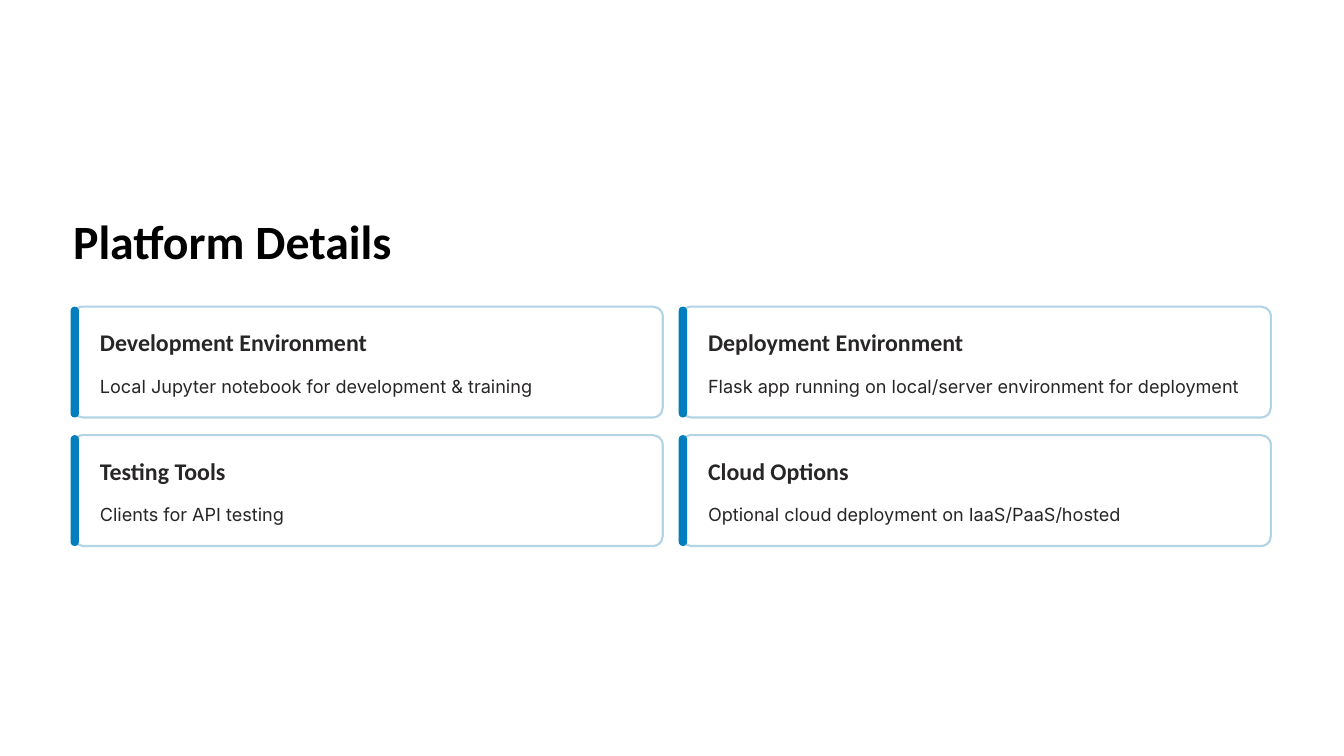
from pptx import Presentation
from pptx.dml.color import RGBColor
from pptx.enum.shapes import MSO_SHAPE
from pptx.enum.text import MSO_ANCHOR, MSO_AUTO_SIZE, PP_ALIGN
from pptx.util import Inches, Pt

ROUNDED = MSO_SHAPE.ROUNDED_RECTANGLE
TOP = MSO_ANCHOR.TOP
NO_FIT = MSO_AUTO_SIZE.NONE
LEFT = PP_ALIGN.LEFT

COLORS = {"white": "FFFFFF", "title": "000000", "text": "272525",
          "border": "B2D4E5", "accent": "007EBD"}
HEADING_FONT = "Calibri"
BODY_FONT = "Inter"

CARD_LEFT, CARD_TOP = 0.87, 3.65
CARD_WIDTH, CARD_HEIGHT = 7.02, 1.32
COLUMN_STEP, ROW_STEP = 7.24, 1.53
COLUMNS = 2

CARDS = [
    ("Development Environment", "Local Jupyter notebook for development & training"),
    ("Deployment Environment", "Flask app running on local/server environment for deployment"),
    ("Testing Tools", "Clients for API testing"),
    ("Cloud Options", "Optional cloud deployment on IaaS/PaaS/hosted"),
]


class SlideBuilder:
    """Draws styled titles, text and cards on one slide."""

    def __init__(self, slide):
        self.slide = slide
        background = slide.background.fill
        background.solid()
        background.fore_color.rgb = self.color("white")

    def color(self, name):
        return RGBColor.from_string(COLORS[name])

    def fill_text(self, shape, text, font, size, spacing, color, bold=False):
        frame = shape.text_frame
        frame.margin_left = frame.margin_right = 0
        frame.margin_top = frame.margin_bottom = 0
        frame.word_wrap = True
        frame.auto_size = NO_FIT
        frame.vertical_anchor = TOP
        paragraph = frame.paragraphs[0]
        paragraph.alignment = LEFT
        paragraph.line_spacing = Pt(spacing)
        run = paragraph.add_run()
        run.text = text
        run.font.name = font
        run.font.size = Pt(size)
        run.font.bold = bold
        run.font.color.rgb = self.color(color)

    def title(self, text, left, top, width, height):
        shape = self.slide.shapes.title
        shape.left, shape.top = Inches(left), Inches(top)
        shape.width, shape.height = Inches(width), Inches(height)
        self.fill_text(shape, text, HEADING_FONT, 41, 51, "title", True)

    def text(self, text, left, top, width, height, *style):
        shape = self.slide.shapes.add_textbox(
            Inches(left), Inches(top), Inches(width), Inches(height))
        self.fill_text(shape, text, *style)

    def rounded(self, left, top, width, height, radius, fill, line=None):
        shape = self.slide.shapes.add_shape(
            ROUNDED, Inches(left), Inches(top), Inches(width), Inches(height))
        shape.adjustments[0] = radius
        shape.shadow.inherit = False
        shape.fill.solid()
        shape.fill.fore_color.rgb = self.color(fill)
        if line:
            shape.line.color.rgb = self.color(line)
            shape.line.width = Pt(1.8)
        else:
            shape.line.fill.background()

    def card(self, left, top, heading, body):
        self.rounded(left, top, CARD_WIDTH, CARD_HEIGHT, 0.09, "white", "border")
        self.rounded(left - 0.03, top, 0.1, CARD_HEIGHT, 0.5, "accent")
        self.text(heading, left + 0.32, top + 0.24, 6.46, 0.36,
                  HEADING_FONT, 20.5, 25.5, "text", True)
        self.text(body, left + 0.32, top + 0.73, 6.46, 0.35,
                  BODY_FONT, 15.5, 25, "text")


def main():
    presentation = Presentation()
    presentation.slide_width = Inches(16)
    presentation.slide_height = Inches(9)
    title_only = presentation.slide_layouts.get_by_name("Title Only")
    builder = SlideBuilder(presentation.slides.add_slide(title_only))
    builder.title("Platform Details", CARD_LEFT, 2.5, 5.7, 0.71)
    for index, (heading, body) in enumerate(CARDS):
        row, column = divmod(index, COLUMNS)
        builder.card(CARD_LEFT + column * COLUMN_STEP,
                     CARD_TOP + row * ROW_STEP, heading, body)
    presentation.save("out.pptx")


if __name__ == "__main__":
    main()
